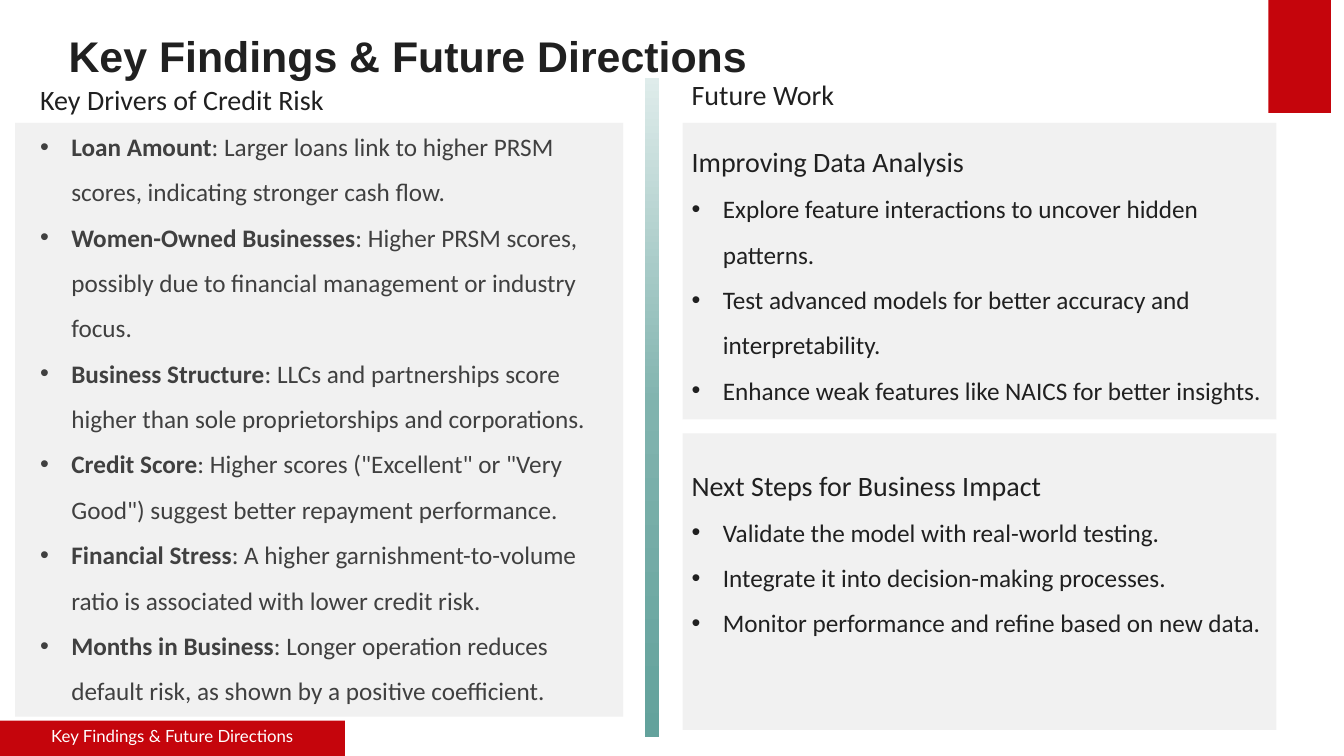
from copy import deepcopy

from lxml import etree
from pptx import Presentation
from pptx.dml.color import RGBColor
from pptx.enum.shapes import MSO_SHAPE
from pptx.enum.text import MSO_ANCHOR, PP_ALIGN
from pptx.oxml.ns import qn
from pptx.util import Pt

PX = 9144
RECT, ROUND = MSO_SHAPE.RECTANGLE, MSO_SHAPE.ROUNDED_RECTANGLE
TOP, BOTTOM = MSO_ANCHOR.TOP, MSO_ANCHOR.BOTTOM
LEFT, CENTER = PP_ALIGN.LEFT, PP_ALIGN.CENTER
RED, PANEL, INK, GREY, WHITE = "C5050C", "EEEEEE", "202020", "404040", "FFFFFF"
TITLE = "Key Findings & Future Directions"

DRIVERS = [
    ("Loan Amount", "Larger loans link to higher PRSM scores, indicating stronger cash flow."),
    ("Women-Owned Businesses",
     "Higher PRSM scores, possibly due to financial management or industry focus."),
    ("Business Structure",
     "LLCs and partnerships score higher than sole proprietorships and corporations."),
    ("Credit Score",
     'Higher scores ("Excellent" or "Very Good") suggest better repayment performance.'),
    ("Financial Stress",
     "A higher garnishment-to-volume ratio is associated with lower credit risk."),
    ("Months in Business",
     "Longer operation reduces default risk, as shown by a positive coefficient."),
]
FUTURE = [
    ("Improving Data Analysis", 24, 1, [
        "Explore feature interactions to uncover hidden patterns.",
        "Test advanced models for better accuracy and interpretability.",
        "Enhance weak features like NAICS for better insights.",
    ]),
    ("Next Steps for Business Impact", 33, 1.5, [
        "Validate the model with real-world testing.",
        "Integrate it into decision-making processes.",
        "Monitor performance and refine based on new data.",
    ]),
]


def rgb(code):
    """Turn a hex string into a colour."""
    return RGBColor.from_string(code)


def scale(*sizes):
    """Turn px lengths into EMU."""
    return [size * PX for size in sizes]


def add_block(slide, box, color, kind=RECT):
    """Add a filled shape without line or shadow."""
    block = slide.shapes.add_shape(kind, *scale(*box))
    block.shadow.inherit = False
    block.line.fill.background()
    block.fill.solid()
    block.fill.fore_color.rgb = rgb(color)
    return block


def add_panel(slide, box):
    """Add a square-cornered panel at 80% opacity."""
    panel = add_block(slide, box, PANEL, ROUND)
    panel.adjustments[0] = 0
    tint = panel._element.spPr.xpath("./a:solidFill/a:srgbClr")[0]
    etree.SubElement(tint, qn("a:alpha")).set("val", "80000")


def add_bar(slide, box, colors):
    """Add a bar that shades evenly downward through three colours."""
    bar = add_block(slide, box, colors[0])
    bar.fill.gradient()
    bar.fill.gradient_angle = 270
    stops = bar._element.spPr.xpath(".//a:gsLst")[0]
    stops.append(deepcopy(stops[-1]))
    for i, (stop, color) in enumerate(zip(bar.fill.gradient_stops, colors)):
        stop.position = i / (len(colors) - 1)
        stop.color.rgb = rgb(color)


def set_frame(shape, insets, anchor=TOP, wrap=True):
    """Set up the text frame of a shape and return it."""
    frame = shape.text_frame
    frame.word_wrap = wrap
    frame.vertical_anchor = anchor
    (frame.margin_left, frame.margin_top,
     frame.margin_right, frame.margin_bottom) = scale(*insets)
    return frame


def add_text(slide, box, insets, anchor=TOP):
    """Add a text box and return its frame."""
    return set_frame(slide.shapes.add_textbox(*scale(*box)), insets, anchor)


def add_para(frame, runs, size, color, font="Calibri", space=1, before=0, align=LEFT):
    """Add a paragraph from (text, bold) runs."""
    para = frame.paragraphs[0]
    if para.runs:
        para = frame.add_paragraph()
    para.alignment = align
    para.line_spacing = space
    para.space_before = Pt(before)
    for text, bold in runs:
        run = para.add_run()
        run.text = text
        run.font.name = font
        run.font.size = Pt(size)
        run.font.bold = bold
        run.font.color.rgb = rgb(color)
    return para


def add_bullet(frame, runs, color):
    """Add a bulleted paragraph with a hanging indent."""
    props = add_para(frame, runs, 18, color, space=1.5)._p.get_or_add_pPr()
    props.set("marL", str(31 * PX))
    props.set("indent", str(-31 * PX))
    etree.SubElement(props, qn("a:buFont")).set("typeface", "Arial")
    etree.SubElement(props, qn("a:buChar")).set("char", "•")


def main():
    """Build the slide and save it."""
    deck = Presentation()
    deck.slide_width, deck.slide_height = scale(1333, 750)
    slide = deck.slides.add_slide(deck.slide_layouts[6])

    add_block(slide, (1258, 0, 62, 112), RED)
    add_panel(slide, (15, 122, 603, 589))
    for top in (122, 430):
        add_panel(slide, (677, top, 589, 294))

    title = add_text(slide, (68, 27, 1167, 54), (0, 5, 10, 0), BOTTOM)
    add_para(title, [(TITLE, True)], 30.6, INK, "Arial", 0.9)
    add_bar(slide, (640, 77, 14, 654), ("DFECEB", "80B3AE", "63A29C"))

    drivers = add_text(slide, (30, 77, 573, 634), (10, 5, 10, 5))
    add_para(drivers, [("Key Drivers of Credit Risk", False)], 20, INK)
    for name, note in DRIVERS:
        add_bullet(drivers, [(name, True), (": " + note, False)], GREY)

    future = add_text(slide, (686, 77, 567, 647), (0, 0, 0, 0))
    add_para(future, [("Future Work", False)], 20, INK)
    for head, before, space, items in FUTURE:
        add_para(future, [(head, False)], 20, INK, space=space, before=before)
        for item in items:
            add_bullet(future, [(item, False)], INK)

    footer = add_block(slide, (0, 715, 342, 35), RED)
    frame = set_frame(footer, (30, 7, 30, 7), wrap=False)
    add_para(frame, [(TITLE, False)], 12, WHITE, "Lato", 0.9, align=CENTER)
    deck.save("out.pptx")


if __name__ == "__main__":
    main()
